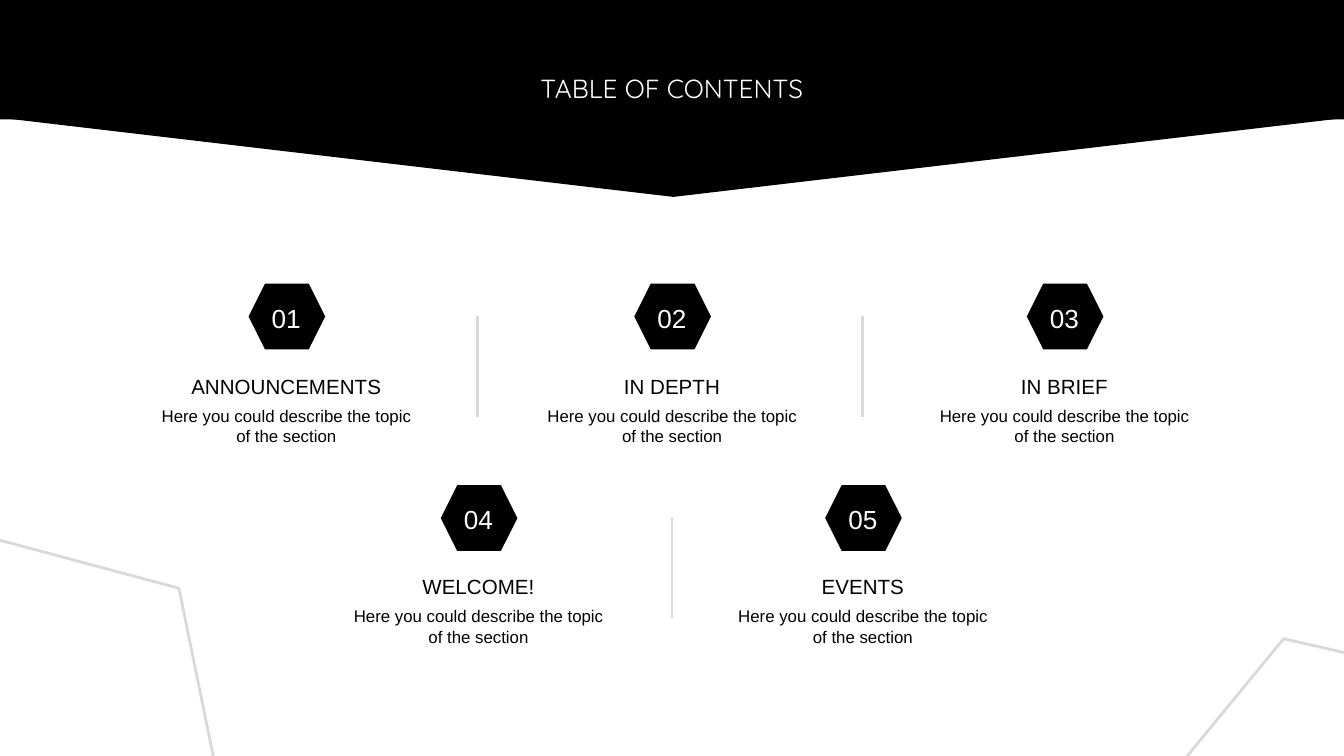
from pptx import Presentation
from pptx.dml.color import RGBColor
from pptx.enum.shapes import MSO_CONNECTOR, MSO_SHAPE
from pptx.enum.text import MSO_ANCHOR, PP_ALIGN
from pptx.oxml.ns import qn
from pptx.util import Inches, Pt
from lxml.etree import SubElement

COLORS = {"black": "000000", "white": "FFFFFF", "gray": "D9D9D9"}
HEADING = "TABLE OF CONTENTS"
DESCRIPTION = "Here you could describe the topic of the section"

# Each row: top of its hexagons, top of its titles, and (center, title) pairs
ROWS = [
    (2.11, 2.56, [(2.13, "ANNOUNCEMENTS"), (5.0, "IN DEPTH"), (7.92, "IN BRIEF")]),
    (3.61, 4.05, [(3.56, "WELCOME!"), (6.42, "EVENTS")]),
]
# Dividers: x and top
DIVIDERS = [(3.55, 2.35), (6.42, 2.35), (5.0, 3.85)]
DIVIDER_HEIGHT = 0.75
# Corner hexagons: left, top, rotation
CORNERS = [(-1.56, 4.08, 15), (8.29, 5.05, 309.4)]

# A 16:9 page
deck = Presentation()
deck.slide_width, deck.slide_height = Inches(10), Inches(10 * 9 / 16)
page = deck.slides.add_slide(deck.slide_layouts[6])


def color(name):
    return RGBColor.from_string(COLORS[name])


def add_shape(kind, left, top, width, height, fill=None, line=None, weight=1.5, rotation=0):
    shape = page.shapes.add_shape(
        kind, Inches(left), Inches(top), Inches(width), Inches(height))
    shape.shadow.inherit = False
    shape.rotation = rotation
    if fill:
        shape.fill.solid()
        shape.fill.fore_color.rgb = color(fill)
    else:
        shape.fill.background()
    if line:
        shape.line.color.rgb = color(line)
        shape.line.width = Pt(weight)
    else:
        shape.line.fill.background()


def add_text(text, center, top, width, height, size=11, font="Arial",
             ink="black", anchor=MSO_ANCHOR.MIDDLE):
    box = page.shapes.add_textbox(
        Inches(center - width / 2), Inches(top), Inches(width), Inches(height))
    frame = box.text_frame
    frame.word_wrap = True
    frame.vertical_anchor = anchor
    frame.margin_left = frame.margin_right = Inches(0.1)
    frame.margin_top = frame.margin_bottom = Inches(0.1)
    para = frame.paragraphs[0]
    para.alignment = PP_ALIGN.CENTER
    span = para.add_run()
    span.text = text
    span.font.size = Pt(size)
    span.font.name = font
    span.font.color.rgb = color(ink)


# Header band with its downward point
add_shape(MSO_SHAPE.ISOSCELES_TRIANGLE, -0.01, 0.87, 10.04, 0.59,
          fill="black", line="black", weight=0.75, rotation=180)
add_shape(MSO_SHAPE.RECTANGLE, -0.01, -0.04, 10.04, 0.93, fill="black")
add_text(HEADING, 5, 0.44, 3.26, 0.75, size=14, font="Quicksand",
         ink="white", anchor=MSO_ANCHOR.TOP)

# Numbered sections
number = 0
for badge_top, title_top, sections in ROWS:
    for center, title in sections:
        number += 1
        add_shape(MSO_SHAPE.HEXAGON, center - 0.28, badge_top, 0.57, 0.49, fill="black")
        add_text(f"{number:02}", center, badge_top + 0.09, 0.82, 0.33, size=14, ink="white")
        add_text(title, center, title_top, 1.75, 0.63)
        add_text(DESCRIPTION, center, title_top + 0.36, 2.15, 0.63,
                 size=9, anchor=MSO_ANCHOR.TOP)

# Dividers between sections
for x, top in DIVIDERS:
    divider = page.shapes.add_connector(
        MSO_CONNECTOR.STRAIGHT, Inches(x), Inches(top), Inches(x), Inches(top + DIVIDER_HEIGHT))
    divider.line.color.rgb = color("gray")
    divider.line.width = Pt(1.5)
    SubElement(divider.element.spPr, qn("a:effectLst"))

# Corner outlines
for left, top, rotation in CORNERS:
    add_shape(MSO_SHAPE.HEXAGON, left, top, 3.23, 2.53, line="gray", rotation=rotation)

deck.save("out.pptx")
